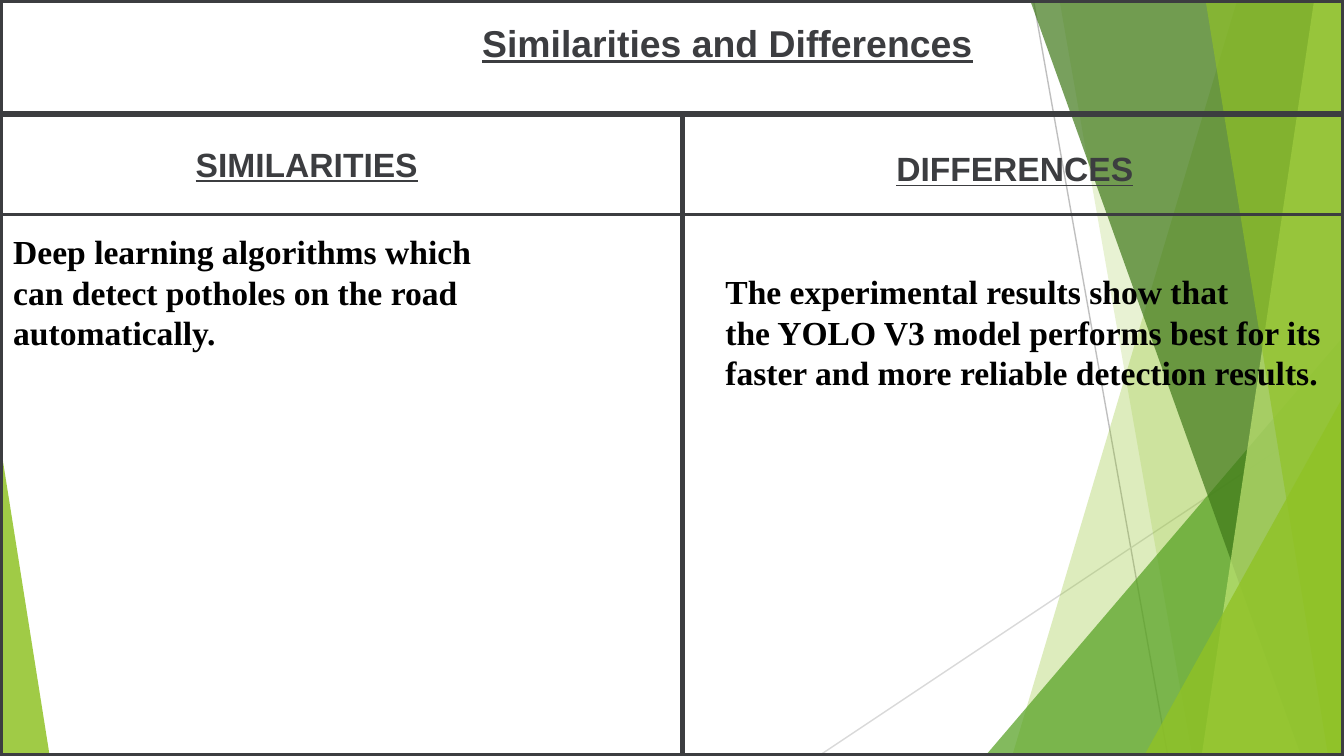
from lxml import etree
from pptx import Presentation
from pptx import util as u
from pptx.dml.color import RGBColor
from pptx.enum import shapes, text
from pptx.oxml import ns

WIDTH, HEIGHT = 25.4, 14.29
INK = "3C3D40"
HEADING = {"name": "Arial", "bold": True, "underline": True}
BODY = {"name": "Times New Roman", "bold": True, "size": u.Pt(18)}


def paint(color_format, color):
    """Set a colour format from a hex string."""
    color_format.rgb = RGBColor.from_string(color)


def style_facet(shape, color, opacity):
    """Give a shape a translucent fill, no outline and no shadow."""
    shape.shadow.inherit = False
    shape.fill.solid()
    paint(shape.fill.fore_color, color)
    shape.line.fill.background()
    tint = shape._element.spPr.find(ns.qn("a:solidFill"))[0]
    etree.SubElement(tint, ns.qn("a:alpha"), val=str(opacity * 1000))


def add_band(page, top_x, bottom_x, color, opacity):
    """Fill the page from a slanted left edge to the right edge."""
    corners = [(WIDTH, -0.02), (WIDTH, HEIGHT), (bottom_x, HEIGHT)]
    builder = page.shapes.build_freeform(u.Cm(top_x), u.Cm(-0.02))
    builder.add_line_segments([(u.Cm(x), u.Cm(y)) for x, y in corners])
    style_facet(builder.convert_to_shape(), color, opacity)


def add_wedge(page, left, top, width, apex, color, opacity):
    """Add a right-angled triangle standing on the bottom edge."""
    wedge = page.shapes.add_shape(
        shapes.MSO_SHAPE.ISOSCELES_TRIANGLE,
        u.Cm(left), u.Cm(top), u.Cm(width), u.Cm(HEIGHT - top))
    wedge.adjustments[0] = apex
    style_facet(wedge, color, opacity)


def add_rule(page, start, end, color, weight):
    """Draw a straight line between two points."""
    points = [u.Cm(value) for value in (*start, *end)]
    rule = page.shapes.add_connector(shapes.MSO_CONNECTOR.STRAIGHT, *points)
    paint(rule.line.color, color)
    rule.line.width = u.Pt(weight)
    etree.SubElement(rule._element.spPr, ns.qn("a:effectLst"))


def add_frame(page):
    """Outline the whole page."""
    frame = page.shapes.add_shape(
        shapes.MSO_SHAPE.RECTANGLE, 0, 0, u.Cm(WIDTH), u.Cm(HEIGHT))
    frame.shadow.inherit = False
    frame.fill.background()
    paint(frame.line.color, INK)
    frame.line.width = u.Pt(3)


def add_text(page, place, lines, font, color, align=text.PP_ALIGN.LEFT,
             fit=text.MSO_AUTO_SIZE.SHAPE_TO_FIT_TEXT, insets=(0.25, 0.13)):
    """Add a wrapped text box with one paragraph per line."""
    box = page.shapes.add_textbox(*[u.Cm(value) for value in place])
    frame = box.text_frame
    frame.word_wrap = True
    frame.auto_size = fit
    frame.margin_left = frame.margin_right = u.Cm(insets[0])
    frame.margin_top = frame.margin_bottom = u.Cm(insets[1])
    for index, line in enumerate(lines):
        para = frame.add_paragraph() if index else frame.paragraphs[0]
        para.alignment = align
        span = para.add_run()
        span.text = line
        for name, value in font.items():
            setattr(span.font, name, value)
        paint(span.font.color, color)


def add_backdrop(page):
    """Draw the green facets and thin grey lines behind the content."""
    add_rule(page, (19.53, 0), (22.07, HEIGHT), "BFBFBF", 0.75)
    add_rule(page, (WIDTH, 7.67), (15.47, HEIGHT), "D9D9D9", 0.75)
    add_band(page, 23.39, 19.13, "90C226", 30)
    add_band(page, 20.02, 22.53, "90C226", 20)
    add_wedge(page, 18.62, 6.35, WIDTH - 18.62, 1, "54A021", 72)
    add_band(page, 19.46, 24.59, "3F7819", 70)
    add_band(page, 24.84, 22.71, "C0E474", 70)
    add_band(page, 22.78, 25.1, "90C226", 65)
    add_wedge(page, 21.62, 7.47, WIDTH - 21.62, 1, "90C226", 80)
    add_wedge(page, 0, 8.36, 0.94, 0, "90C226", 85)


def main():
    """Build the comparison slide and save it."""
    deck = Presentation()
    deck.slide_width, deck.slide_height = u.Cm(WIDTH), u.Cm(HEIGHT)
    page = deck.slides.add_slide(deck.slide_layouts[6])
    center = text.PP_ALIGN.CENTER
    title = {**HEADING, "size": u.Pt(20)}
    heading = {**HEADING, "size": u.Pt(18)}

    add_backdrop(page)
    add_frame(page)
    add_rule(page, (12.9, 2.16), (12.9, HEIGHT), INK, 3)
    add_rule(page, (0, 2.16), (WIDTH, 2.16), INK, 3)
    add_text(page, (3.07, 0.28, 21.36, 1.3), ["Similarities and Differences"],
             title, INK, center, text.MSO_AUTO_SIZE.NONE, (0.18, 0.1))
    add_text(page, (3.45, 2.59, 6.4, 1.02), ["SIMILARITIES"], heading, INK)
    add_text(page, (13.54, 2.67, 11.28, 1.02), ["DIFFERENCES"],
             heading, INK, center)
    add_text(page, (0, 4.24, 11.68, 2.57),
             ["Deep learning algorithms which",
              "can detect potholes on the road automatically."],
             BODY, "000000")
    add_text(page, (13.46, 5, 11.94, 3.33),
             ["The experimental results show that",
              "the YOLO V3 model performs best for its faster and more "
              "reliable detection results."],
             BODY, "000000")
    add_rule(page, (0, 4.06), (WIDTH, 4.06), INK, 1.5)
    deck.save("out.pptx")


if __name__ == "__main__":
    main()
